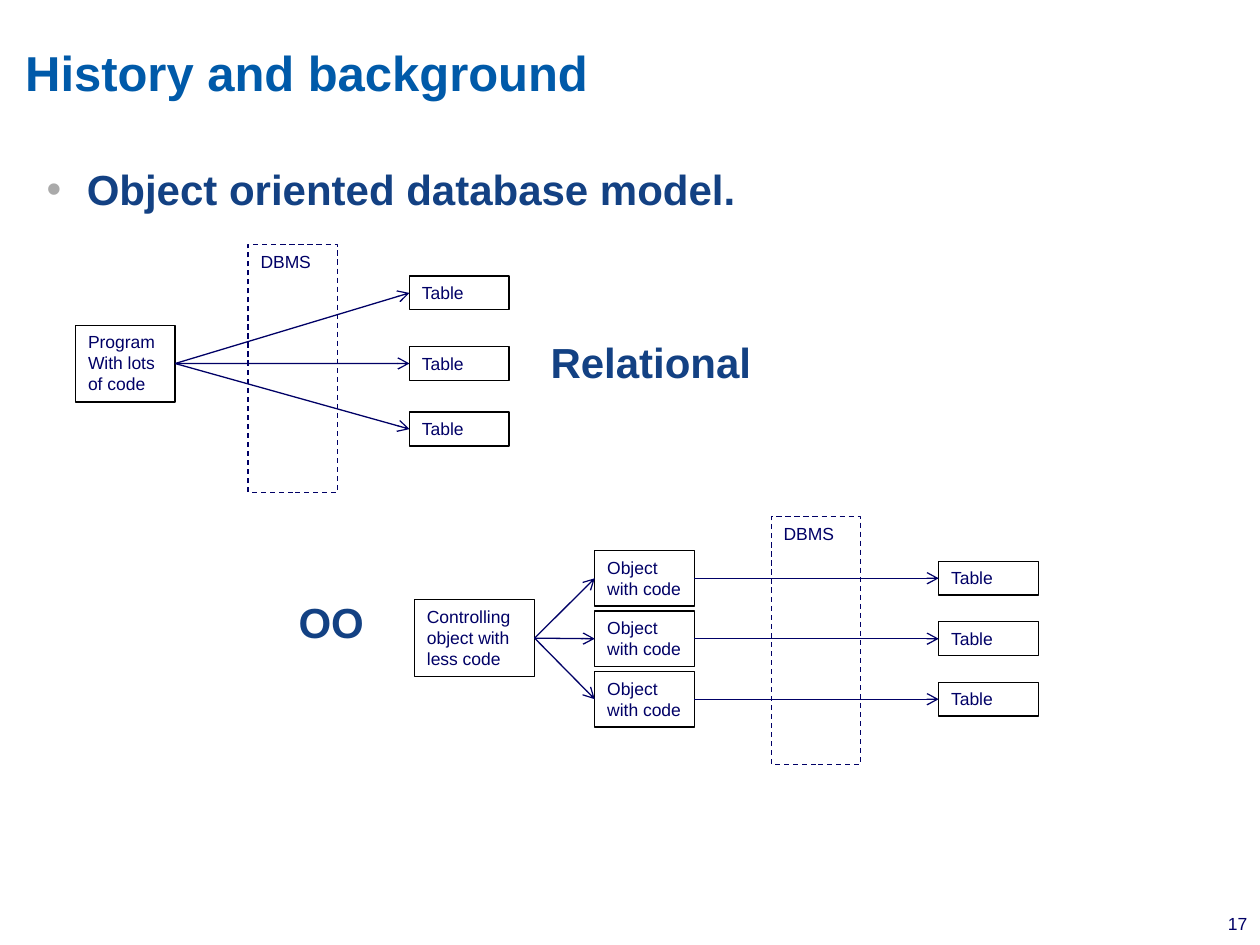
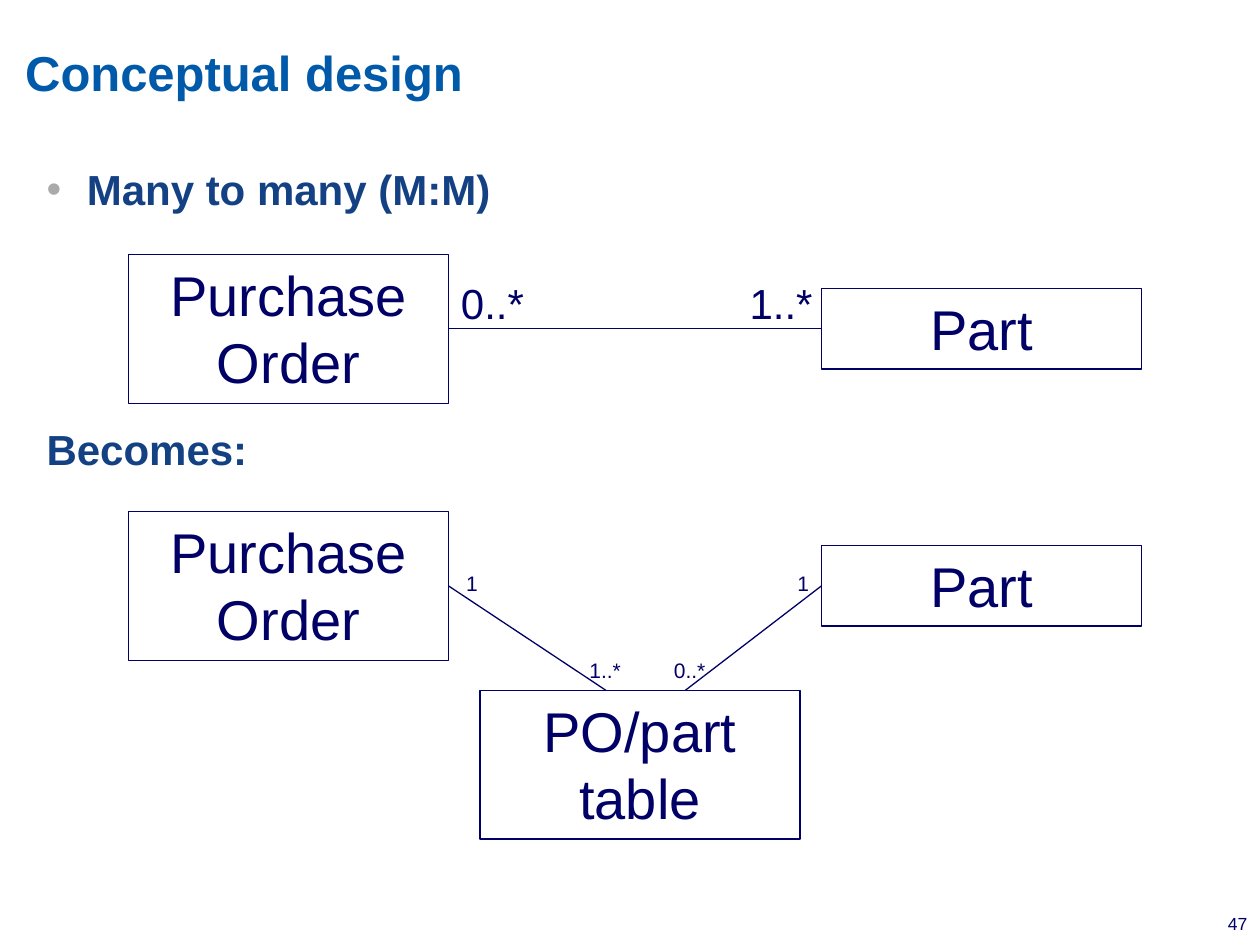
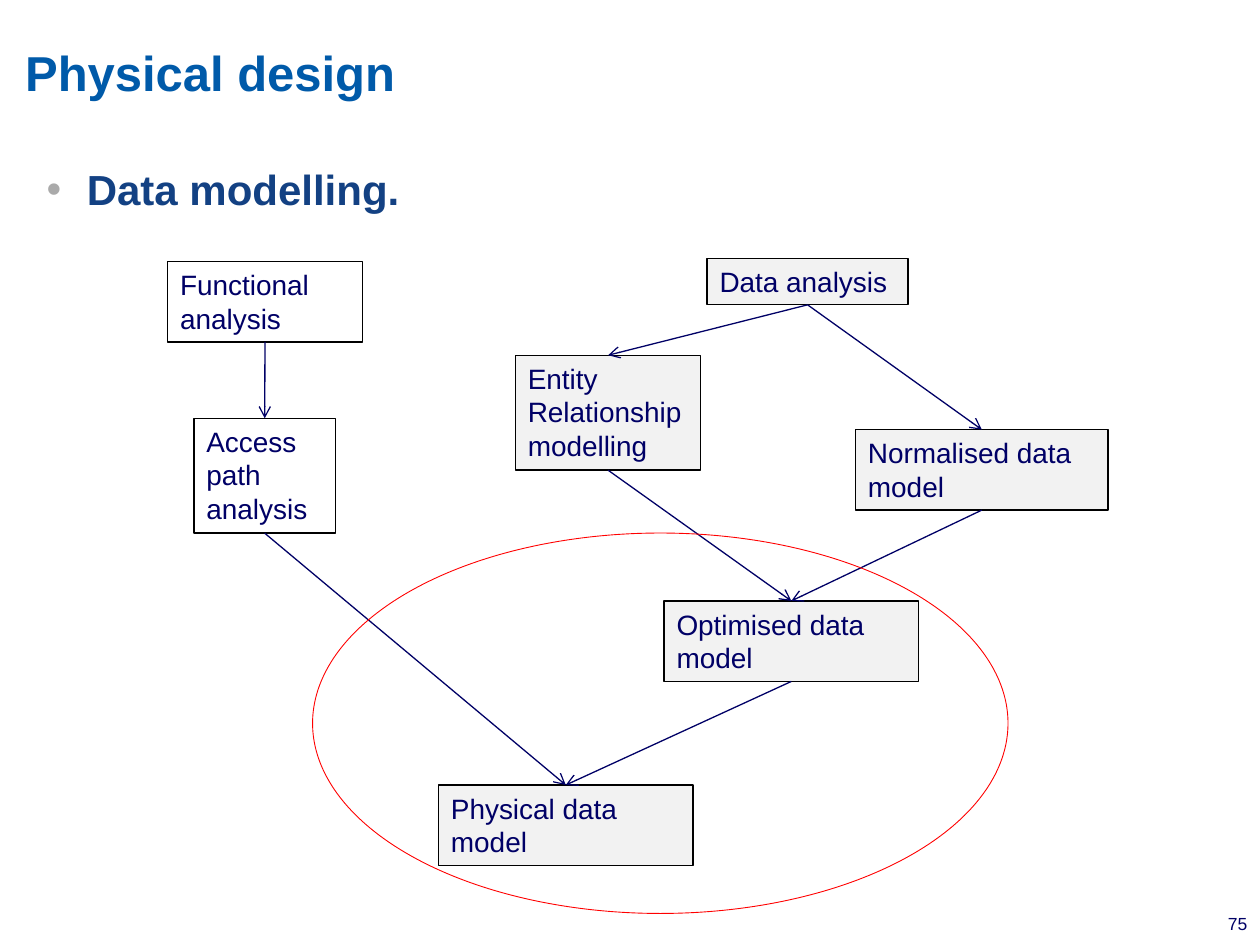
"""Build three database design slides with shared styling."""
from collections import namedtuple
from dataclasses import dataclass

from lxml import etree
from pptx import Presentation
from pptx.dml.color import RGBColor
from pptx.enum.dml import MSO_LINE
from pptx.enum.shapes import MSO_CONNECTOR, MSO_SHAPE
from pptx.enum.text import MSO_ANCHOR, MSO_AUTO_SIZE, PP_ALIGN
from pptx.oxml.ns import qn
from pptx.util import Pt

RECTANGLE, OVAL = MSO_SHAPE.RECTANGLE, MSO_SHAPE.OVAL
STRAIGHT = MSO_CONNECTOR.STRAIGHT
DASH = MSO_LINE.DASH
TOP, MIDDLE = MSO_ANCHOR.TOP, MSO_ANCHOR.MIDDLE
LEFT, CENTER, RIGHT = PP_ALIGN.LEFT, PP_ALIGN.CENTER, PP_ALIGN.RIGHT
NO_AUTOFIT = MSO_AUTO_SIZE.NONE
TOP_SITE, LEFT_SITE, BOTTOM_SITE, RIGHT_SITE = range(4)


@dataclass(frozen=True)
class Theme:
    """Colours, font and type sizes of the deck."""
    font: str = "Arial"
    title: str = "005AA9"
    heading: str = "134183"
    ink: str = "000066"
    bullet: str = "AAAAAA"
    outline: str = "000000"
    panel: str = "F2F2F2"
    paper: str = "FFFFFF"
    highlight: str = "FF0000"
    title_size: int = 28
    heading_size: int = 24
    entity_size: int = 32
    step_size: int = 16
    note_size: int = 12
    small_size: int = 10
    line_width: float = 0.75


THEME = Theme()


class Box(namedtuple("Box", "left top width height")):
    """A rectangle in points."""

    def inside(self, left, top, width, height):
        """Return a box offset from this one."""
        return Box(self.left + left, self.top + top, width, height)

    def lengths(self):
        """Return the four sides as slide lengths."""
        return [Pt(value) for value in self]


TITLE_BOX = Box(0, 0, 720, 77.8)
BODY_BOX = Box(19.4, 84.2, 685.4, 438.5)
NUMBER_BOX = Box(460.8, 518.4, 252, 12.2)


def colour(code):
    """Turn a hex code into a colour."""
    return RGBColor.from_string(code)


def place(shape, box):
    """Move and size a shape to a box."""
    shape.left, shape.top, shape.width, shape.height = box.lengths()


def set_frame(frame, anchor=TOP, insets=(7.2, 3.6, 7.2, 3.6)):
    """Set wrapping, anchor and insets of a text frame."""
    frame.word_wrap = True
    frame.auto_size = NO_AUTOFIT
    frame.vertical_anchor = anchor
    (frame.margin_left, frame.margin_top,
     frame.margin_right, frame.margin_bottom) = [Pt(inset) for inset in insets]


def add_span(para, text, size, ink=THEME.ink, bold=False):
    """Add one formatted run to a paragraph."""
    span = para.add_run()
    span.text = text
    span.font.name = THEME.font
    span.font.size = Pt(size)
    span.font.bold = bold
    span.font.color.rgb = colour(ink)


def write(frame, lines, size, align=LEFT):
    """Write plain lines into a text frame."""
    for index, line in enumerate(lines):
        para = frame.paragraphs[0] if index == 0 else frame.add_paragraph()
        para.alignment = align
        add_span(para, line, size)


def set_bullet(para, symbol, indent):
    """Give a paragraph an indent and a bullet, or none."""
    props = para._p.get_or_add_pPr()
    props.set("marL", str(Pt(indent)))
    props.set("indent", str(Pt(-indent if symbol else 0)))
    if symbol:
        tint = etree.SubElement(props, qn("a:buClr"))
        etree.SubElement(tint, qn("a:srgbClr")).set("val", THEME.bullet)
        etree.SubElement(props, qn("a:buChar")).set("char", symbol)
    else:
        etree.SubElement(props, qn("a:buNone"))


def add_page(deck, title, heading, number, asides=()):
    """Add a page with title, bulleted heading, asides and number."""
    page = deck.slides.add_slide(deck.slide_layouts[1])
    place(page.shapes.title, TITLE_BOX)
    frame = page.shapes.title.text_frame
    set_frame(frame, MIDDLE, (14.4, 14.4, 141.8, 10))
    frame.paragraphs[0].alignment = LEFT
    add_span(frame.paragraphs[0], title, THEME.title_size, THEME.title, True)

    body = page.placeholders[1]
    place(body, BODY_BOX)
    set_frame(body.text_frame)
    rows = [(heading, "•", 23, 0)]
    rows += [(text, None, indent, gap) for text, indent, gap in asides]
    for index, (text, symbol, indent, gap) in enumerate(rows):
        para = (body.text_frame.add_paragraph() if index
                else body.text_frame.paragraphs[0])
        set_bullet(para, symbol, indent)
        para.alignment = LEFT
        para.line_spacing = 1.2
        para.space_before = Pt(gap)
        add_span(para, text, THEME.heading_size, THEME.heading, True)

    add_label(page, NUMBER_BOX, number, THEME.small_size, RIGHT, (0, 3.6, 0, 3.6))
    return page


def add_label(page, box, text, size, align=LEFT, insets=(7.2, 3.6, 7.2, 3.6)):
    """Add unframed text."""
    frame = page.shapes.add_textbox(*box.lengths()).text_frame
    set_frame(frame, insets=insets)
    write(frame, [text], size, align)


def add_outline(page, kind, box, line, width=THEME.line_width, fill=None):
    """Add a flat outlined shape."""
    shape = page.shapes.add_shape(kind, *box.lengths())
    shape.shadow.inherit = False
    if fill:
        shape.fill.solid()
        shape.fill.fore_color.rgb = colour(fill)
    else:
        shape.fill.background()
    shape.line.color.rgb = colour(line)
    shape.line.width = Pt(width)
    return shape


def add_node(page, box, lines, size, line=THEME.outline, fill=None, align=LEFT):
    """Add a rectangle holding text."""
    shape = add_outline(page, RECTANGLE, box, line, fill=fill)
    set_frame(shape.text_frame)
    write(shape.text_frame, lines, size, align)
    return shape


def add_link(page, start, start_site, end, end_site=None, arrow=True):
    """Join a shape to another shape's site or to a point."""
    tip = (0, 0) if end_site is not None else end
    link = page.shapes.add_connector(STRAIGHT, 0, 0, Pt(tip[0]), Pt(tip[1]))
    link.begin_connect(start, start_site)
    if end_site is not None:
        link.end_connect(end, end_site)
    link.line.color.rgb = colour(THEME.ink)
    link.line.width = Pt(THEME.line_width)
    if arrow:
        etree.SubElement(link.line._get_or_add_ln(), qn("a:tailEnd")).set("type", "arrow")
    etree.SubElement(link._element.spPr, qn("a:effectLst"))


def add_dbms(page, box):
    """Add the dashed database system boundary."""
    add_node(page, box, ["DBMS"], THEME.small_size, THEME.ink).line.dash_style = DASH


def draw_relational(page, box):
    """Draw one program reaching three tables."""
    program = add_node(page, box.inside(0, 46.1, 56.9, 43.9),
                       ["Program", "With lots of code"], THEME.small_size)
    for top in (18, 58.3, 95.8):
        table = add_node(page, box.inside(190.8, top, 56.9, 19.4),
                         ["Table"], THEME.small_size)
        add_link(page, program, RIGHT_SITE, table, LEFT_SITE)
    add_dbms(page, box.inside(98.6, 0, 51.1, box.height))


def draw_object_oriented(page, box):
    """Draw a controller, three objects and their tables."""
    controller = add_node(page, box.inside(0, 47.5, 68.6, 43.9),
                          ["Controlling object with less code"], THEME.small_size)
    for row in range(3):
        top = 19.4 + 34.56 * row
        item = add_node(page, box.inside(103, top, 56.9, 31.7),
                        ["Object with code"], THEME.small_size)
        table = add_node(page, box.inside(299.5, top + 6.15, 56.9, 19.4),
                         ["Table"], THEME.small_size)
        add_link(page, controller, RIGHT_SITE, item, LEFT_SITE)
        add_link(page, item, RIGHT_SITE, table, LEFT_SITE)
    add_dbms(page, box.inside(203.8, 0, 51.1, box.height))


def draw_entity(page, box, text):
    """Draw one entity box."""
    return add_node(page, box, [text], THEME.entity_size, THEME.ink, align=CENTER)


def draw_pair(page, box):
    """Draw the order and part entities at the ends of a box."""
    width, height = 182.9, 46.1
    order = draw_entity(page, box.inside(0, 0, width, box.height), "Purchase Order")
    part = draw_entity(page, box.inside(box.width - width, (box.height - height) / 2,
                                        width, height), "Part")
    return order, part


def draw_many_to_many(page, box):
    """Draw the direct relationship."""
    order, part = draw_pair(page, box)
    add_link(page, order, RIGHT_SITE, part, LEFT_SITE, arrow=False)
    for left, text in ((182.9, "0..*"), (347.8, "1..*")):
        add_label(page, box.inside(left, 9.4, 54, 36), text, THEME.heading_size)


def draw_resolved(page, box):
    """Draw the relationship split by a joining table."""
    joint_top = 102.2
    draw_entity(page, box.inside(200.9, joint_top, 182.9, box.height), "PO/part table")
    sides = zip(draw_pair(page, box), (RIGHT_SITE, LEFT_SITE), (272.9, 318.2))
    for entity, site, left in sides:
        add_link(page, entity, site, (box.left + left, box.top + joint_top), arrow=False)
    labels = ((185.8, 30.2, "1"), (375.1, 30.2, "1"),
              (256.3, 79.9, "1..*"), (304.6, 79.9, "0..*"))
    for left, top, text in labels:
        add_label(page, box.inside(left, top, 54, 21.6), text, THEME.note_size)


def draw_modelling(page, box):
    """Draw the modelling steps, their flow and the highlighted region."""
    steps = {
        "entity": ("Entity Relationship modelling", 198.7, 55.4, 106, 65.7, THEME.panel),
        "normal": ("Normalised data model", 393.1, 97.9, 144.3, 46, THEME.panel),
        "optimised": ("Optimised data model", 283.7, 195.8, 145.4, 46, THEME.panel),
        "data": ("Data analysis", 308.3, 0, 114.8, 26.6, THEME.panel),
        "functional": ("Functional analysis", 0, 1.8, 111.2, 46, None),
        "access": ("Access path analysis", 15.1, 91.4, 80.8, 65.7, THEME.paper),
        "physical": ("Physical data model", 154.8, 301, 145.4, 46, THEME.panel),
    }
    nodes = {key: add_node(page, box.inside(*sides), [text], THEME.step_size, fill=fill)
             for key, (text, *sides, fill) in steps.items()}
    flows = (("functional", "access"), ("data", "entity"), ("data", "normal"),
             ("normal", "optimised"), ("entity", "optimised"),
             ("optimised", "physical"), ("access", "physical"))
    for start, end in flows:
        add_link(page, nodes[start], BOTTOM_SITE, nodes[end], TOP_SITE)
    add_outline(page, OVAL, box.inside(82.8, 157, 397.4, 217.4), THEME.highlight, 0.5)


def main():
    """Build and save the deck."""
    deck = Presentation()
    deck.slide_width, deck.slide_height = Pt(720), Pt(540)

    page = add_page(deck, "History and background", "Object oriented database model.",
                    "17", [("Relational", 288, 64), ("OO", 144, 114)])
    draw_relational(page, Box(43.2, 139.7, 247.7, 141.8))
    draw_object_oriented(page, Box(236.9, 295.2, 356.4, 141.8))

    page = add_page(deck, "Conceptual design", "Many to many (M:M)",
                    "47", [("Becomes:", 0, 114)])
    draw_many_to_many(page, Box(73.4, 145.4, 578.9, 85))
    draw_resolved(page, Box(73.4, 292.3, 578.9, 85))

    page = add_page(deck, "Physical design", "Data modelling.", "75")
    draw_modelling(page, Box(95.8, 147.6, 537.4, 374.4))

    deck.save("out.pptx")


if __name__ == "__main__":
    main()
